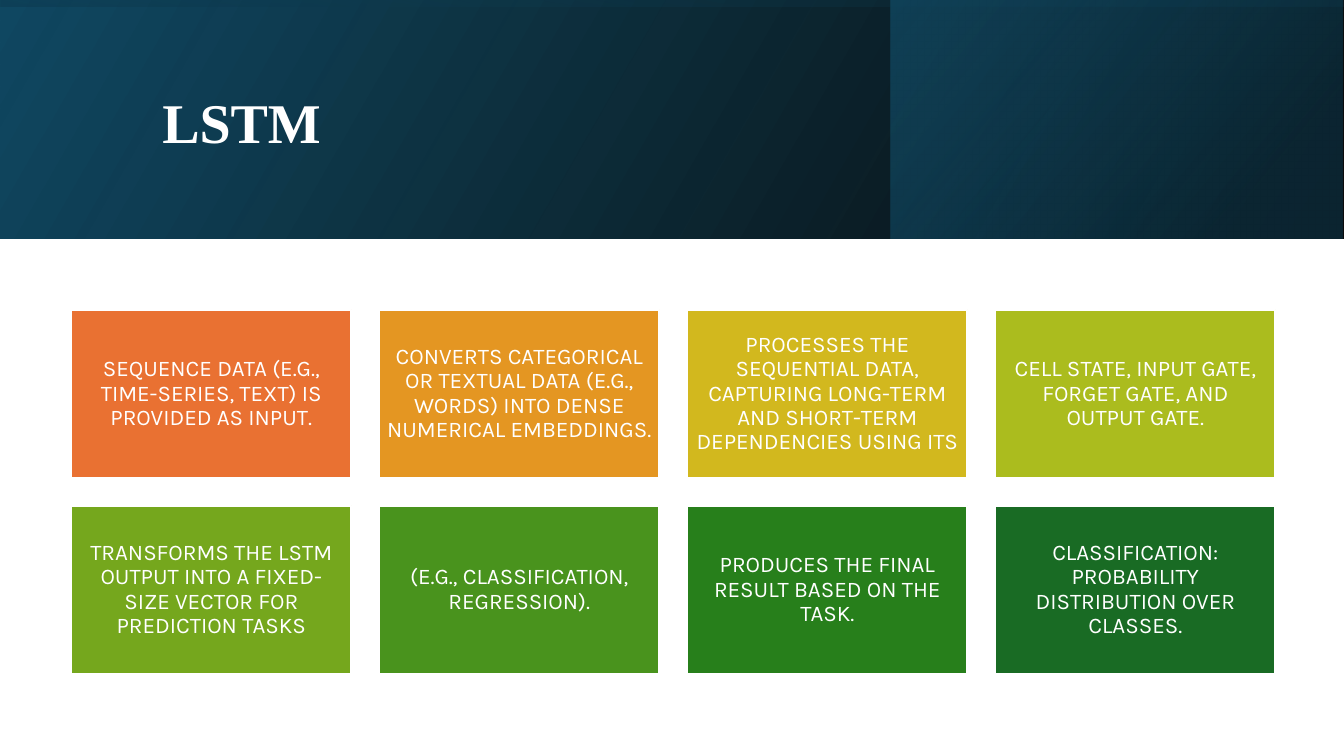
from dataclasses import dataclass

from lxml.etree import SubElement
from pptx import Presentation
from pptx.dml.color import RGBColor
from pptx.enum.shapes import MSO_SHAPE as Shape
from pptx.enum.text import MSO_ANCHOR as Anchor, MSO_AUTO_SIZE as AutoSize, PP_ALIGN as Align
from pptx.oxml.ns import qn
from pptx.util import Pt


@dataclass(frozen=True)
class Theme:
    white: str = "FFFFFF"
    black: str = "000000"
    navy: str = "104862"
    deep: str = "0B3041"
    teal: str = "156082"
    cards: tuple = ("E97132", "E49622", "D2B81E", "ABBC1E",
                    "75A71D", "49931D", "277F1B", "196B24")
    title_font: str = "Times New Roman"
    card_font: str = "Karla"
    title_size: int = 40
    card_size: int = 16


theme = Theme()


def add_rectangle(left, top, width, height):
    box = page.shapes.add_shape(Shape.RECTANGLE, Pt(left), Pt(top), Pt(width), Pt(height))
    box.shadow.inherit = False
    return box


def write_text(box, text, font, size, align, bold=False):
    """Fill the box with one white, vertically centred paragraph."""
    frame = box.text_frame
    frame.word_wrap = True
    frame.auto_size = AutoSize.NONE
    frame.vertical_anchor = Anchor.MIDDLE
    para = frame.paragraphs[0]
    para.alignment = align
    para.line_spacing = 0.9
    span = para.add_run()
    span.text = text
    span.font.name = font
    span.font.size = Pt(size)
    span.font.bold = bold
    span.font.color.rgb = RGBColor.from_string(theme.white)


deck = Presentation()
deck.slide_width, deck.slide_height = Pt(960), Pt(540)
page = deck.slides.add_slide(deck.slide_layouts[5])

# Header: three mirrored gradient layers; stops are (position, colour, opacity in %)
band_height = 170.6
offset = (960 - band_height) / 2
layers = [
    ((0, 0, 960, band_height), 0, 30,
     [(0, theme.black, 96), (1, theme.navy, 100)]),
    ((636.5, 0, 322.6, band_height), 0, 40,
     [(0.19, theme.deep, 68), (1, theme.teal, 48)]),
    ((offset, -offset, band_height, 960), 270, 10,
     [(0.23, theme.navy, 16), (0.99, theme.black, 45)]),
]
for place, rotation, angle, stops in layers:
    band = add_rectangle(*place)
    band.line.fill.background()
    band.rotation = rotation
    band.element.spPr.find(qn("a:xfrm")).set("flipH", "1")
    band.fill.gradient()
    band.fill.gradient_angle = angle
    for stop, (position, colour, _) in zip(band.fill.gradient_stops, stops):
        stop.position = position
        stop.color.rgb = RGBColor.from_string(colour)
    colour_nodes = band.element.spPr.iter(qn("a:srgbClr"))
    for node, (_, _, opacity) in zip(list(colour_nodes), stops):
        SubElement(node, qn("a:alpha")).set("val", str(opacity * 1000))

# Title, raised above the header layers
title = page.shapes.title
title.left, title.top, title.width, title.height = Pt(108.7), Pt(27.4), Pt(765.4), Pt(123.8)
write_text(title, "LSTM", theme.title_font, theme.title_size, Align.LEFT, bold=True)
page.shapes.element.append(title.element)

# Cards in a grid of four columns
steps = [
    "SEQUENCE DATA (E.G., TIME-SERIES, TEXT) IS PROVIDED AS INPUT.",
    "CONVERTS CATEGORICAL OR TEXTUAL DATA (E.G., WORDS) INTO DENSE NUMERICAL EMBEDDINGS.",
    "PROCESSES THE SEQUENTIAL DATA, CAPTURING LONG-TERM AND SHORT-TERM DEPENDENCIES USING ITS",
    "CELL STATE, INPUT GATE, FORGET GATE, AND OUTPUT GATE.",
    "TRANSFORMS THE LSTM OUTPUT INTO A FIXED-SIZE VECTOR FOR PREDICTION TASKS",
    "(E.G., CLASSIFICATION, REGRESSION).",
    "PRODUCES THE FINAL RESULT BASED ON THE TASK.",
    "CLASSIFICATION: PROBABILITY DISTRIBUTION OVER CLASSES.",
]
columns, card_width, card_height, gap = 4, 200, 120, 20
for index, (step, colour) in enumerate(zip(steps, theme.cards)):
    row, column = divmod(index, columns)
    card = add_rectangle(51 + column * (card_width + gap), 221.3 + row * (card_height + gap),
                         card_width, card_height)
    card.fill.solid()
    card.fill.fore_color.rgb = RGBColor.from_string(colour)
    card.line.color.rgb = RGBColor.from_string(theme.white)
    card.line.width = Pt(1.5)
    frame = card.text_frame
    frame.margin_left = frame.margin_right = frame.margin_top = frame.margin_bottom = Pt(5)
    write_text(card, step, theme.card_font, theme.card_size, Align.CENTER)

deck.save("out.pptx")
